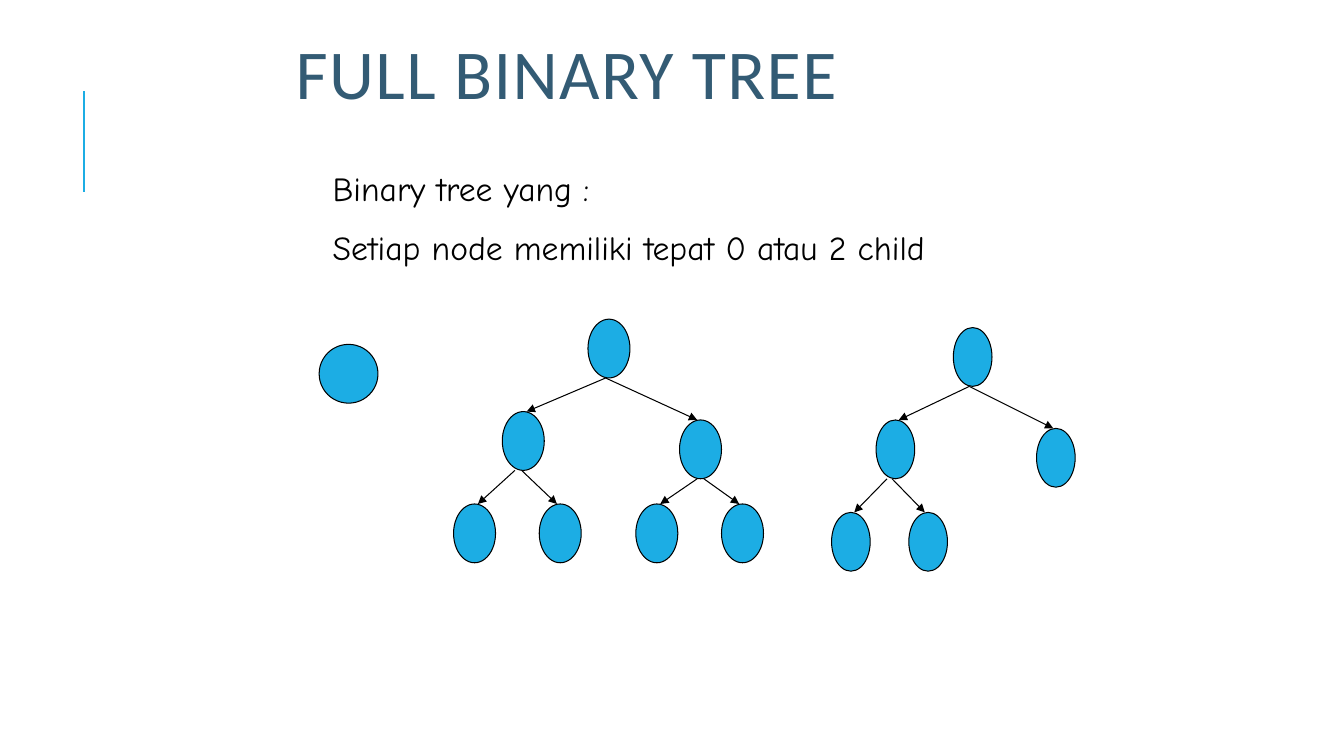
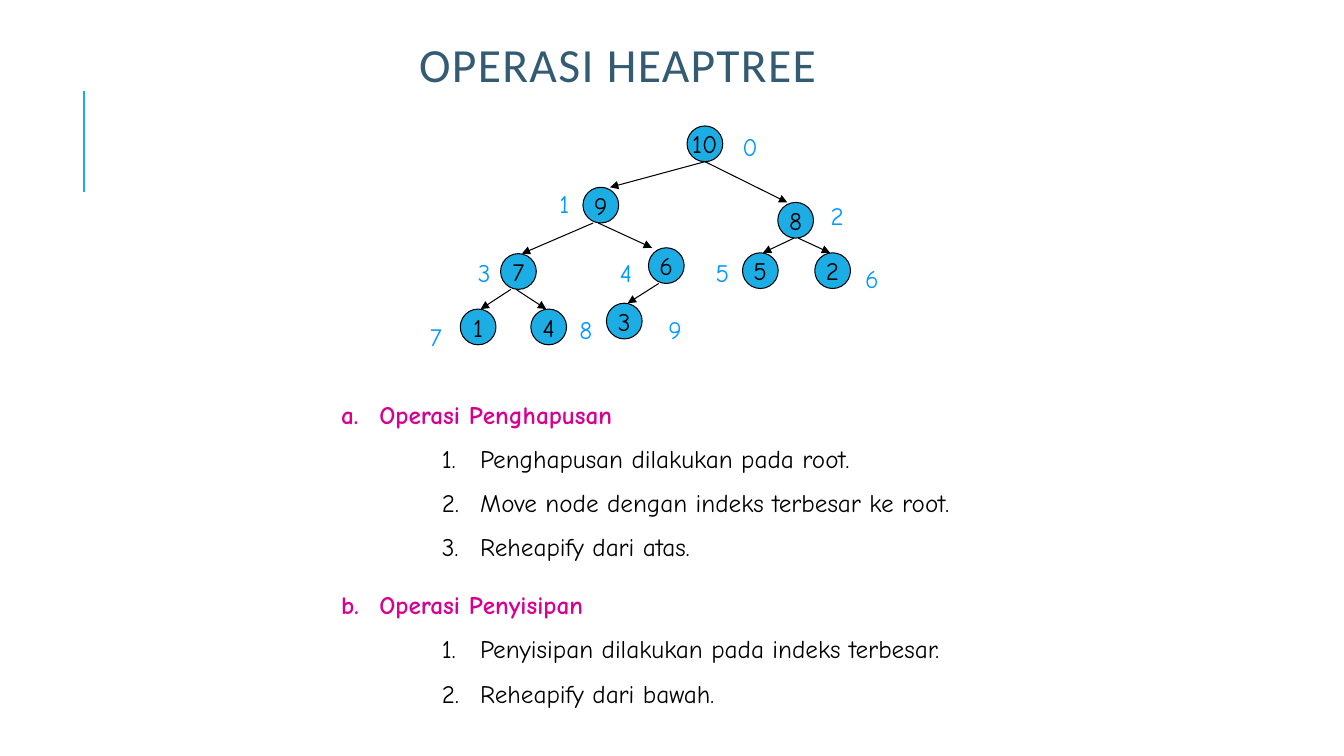
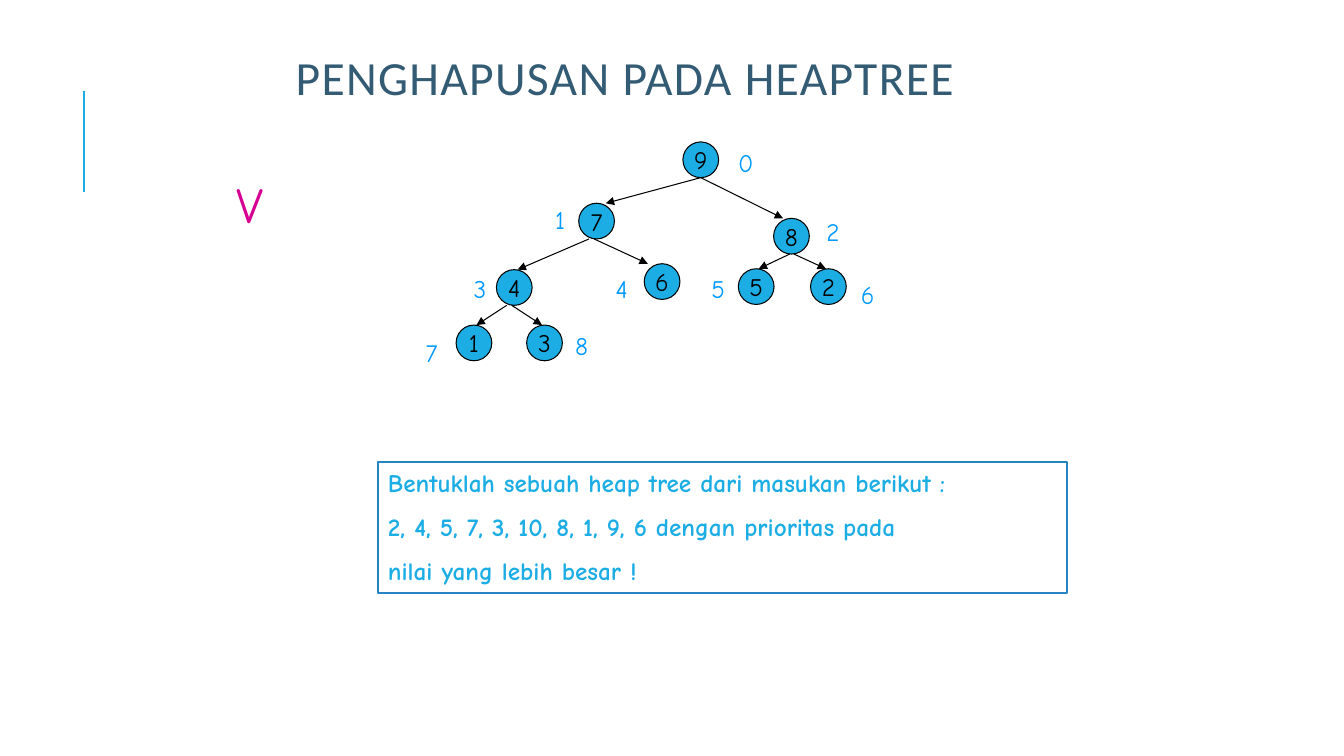
from lxml import etree
from pptx import Presentation
from pptx.dml.color import RGBColor
from pptx.enum.shapes import MSO_CONNECTOR, MSO_SHAPE
from pptx.enum.text import MSO_ANCHOR, MSO_AUTO_SIZE, PP_ALIGN
from pptx.oxml.ns import qn
from pptx.util import Inches, Pt

OVAL, RECTANGLE = MSO_SHAPE.OVAL, MSO_SHAPE.RECTANGLE
STRAIGHT = MSO_CONNECTOR.STRAIGHT
TOP, MIDDLE, BOTTOM = MSO_ANCHOR.TOP, MSO_ANCHOR.MIDDLE, MSO_ANCHOR.BOTTOM
LEFT, CENTER = PP_ALIGN.LEFT, PP_ALIGN.CENTER
NO_AUTOFIT = MSO_AUTO_SIZE.NONE

COLORS = {
    "accent": "1CADE4",
    "title": "335B74",
    "ink": "000000",
    "index": "0099FF",
    "heading": "D60093",
    "frame": "2683C6",
    "paper": "FFFFFF",
}
TITLE_FONT, BODY_FONT = "Calibri", "Comic Neue"
COLUMNS, ROWS = 160, 90
CELL = Inches(7.5) / ROWS
HANGING = 0.38
LIST_LAYOUT, TWO_LISTS_LAYOUT, TITLE_LAYOUT = 1, 3, 5

FULL_TREE = [
    (70, 38, 0, 0),
    (59.8, 49, -0.4, 0.4),
    (80.9, 50, -0.4, -0.4),
    (54, 60, -1, 0.4),
    (64.2, 60, -0.2, -0.4),
    (75.7, 60, -0.4, 0.4),
    (85.9, 60, 0.4, -0.4),
]
SMALL_TREE = [
    (113.5, 39, 0, 0),
    (104.3, 50, -0.4, 0.4),
    (123.4, 51, -0.4, -0.3),
    (99, 61, -1, 0.4),
    (108.2, 61, -0.4, -0.4),
]
HEAP_TREE = [
    (81.8, 15, 0, 0),
    (69.4, 22.3, 0, 1.1),
    (92.6, 24.1, 0, -1),
    (59.6, 30.2, -0.9, 0.4),
    (77.2, 29.5, -0.3, -1.7),
    (88.4, 30.1, -0.2, 0.3),
    (97, 30.1, 0.3, -0.3),
    (54.8, 36.8, -0.9, 0.3),
    (63.2, 36.8, -0.3, -0.3),
    (72.2, 36.1, -0.9, 0.4),
]
INDEX_PLACES = [
    (87.2, 15), (65.4, 21.8), (97.7, 23.3), (55.7, 30.1), (72.6, 30.1),
    (84, 30.1), (101.8, 30.8), (50, 37.7), (67.8, 36.8), (78.4, 36.8),
]


def grid(*cells):
    return [round(cell * CELL) for cell in cells]


def color(name):
    return RGBColor.from_string(COLORS[name])


class Deck:
    def __init__(self):
        self.presentation = Presentation()
        self.presentation.slide_width = round(COLUMNS * CELL)
        self.presentation.slide_height = round(ROWS * CELL)
        self.slide = None

    def add_slide(self, layout, title, box, size):
        first = self.slide is None
        self.slide = self.presentation.slides.add_slide(
            self.presentation.slide_layouts[layout])
        if first:
            rail = self.line((10, 22.8), (10, 10.8), "accent", 1.5)
            self.presentation.slide_master.shapes.element.append(rail.element)
        shape = self.slide.shapes.title
        self.place(shape, box)
        self.set_text(shape, [title], size, "title", font=TITLE_FONT, anchor=BOTTOM)
        paragraph = shape.text_frame.paragraphs[0]
        paragraph.line_spacing = 0.8
        paragraph.runs[0]._r.get_or_add_rPr().set("spc", "100")

    def place(self, shape, box):
        shape.left, shape.top, shape.width, shape.height = grid(*box)

    def set_text(self, shape, lines, size, ink="ink", bold=False,
                 font=BODY_FONT, anchor=TOP, align=LEFT, wrap=True):
        frame = shape.text_frame
        frame.text = "\n".join(lines)
        frame.auto_size = NO_AUTOFIT
        frame.word_wrap = wrap
        frame.vertical_anchor = anchor
        for number, paragraph in enumerate(frame.paragraphs):
            paragraph.alignment = align
            paragraph.space_before = Pt(0.55 * size if number else 0)
            for run in paragraph.runs:
                self.style(run.font, size, ink, bold, font)

    def style(self, run_font, size, ink, bold, font=BODY_FONT):
        run_font.name = font
        run_font.size = Pt(size)
        run_font.bold = bold
        run_font.color.rgb = color(ink)

    def body(self, number, box, lines, size):
        shape = self.slide.placeholders[number]
        self.place(shape, box)
        self.set_text(shape, lines, size)
        for paragraph in shape.text_frame.paragraphs:
            self.bullet(paragraph, HANGING)
        return shape.text_frame.paragraphs

    def bullet(self, paragraph, margin, numbering=None, start=1):
        properties = paragraph._p.get_or_add_pPr()
        for old in properties.findall(qn("a:buNone")):
            properties.remove(old)
        properties.set("marL", str(Inches(margin)))
        properties.set("indent", str(-Inches(HANGING)))
        if numbering is None:
            etree.SubElement(properties, qn("a:buNone"))
            return
        mark = etree.SubElement(properties, qn("a:buAutoNum"), type=numbering)
        if start > 1:
            mark.set("startAt", str(start))

    def operation(self, number, box, heading, steps):
        first, *others = self.body(number, box, [heading, *steps], 18)
        self.bullet(first, HANGING, "alphaLcPeriod", number)
        self.style(first.runs[0].font, 18, "heading", True)
        for paragraph in others:
            paragraph.level = 1
            self.bullet(paragraph, 1 + HANGING, "arabicPeriod")

    def text(self, box, line, size, ink):
        self.set_text(self.slide.shapes.add_textbox(*grid(*box)), [line], size, ink)

    def shape(self, kind, box, fill="accent", edge="ink", width=0.75):
        shape = self.slide.shapes.add_shape(kind, *grid(*box))
        shape.shadow.inherit = False
        shape.fill.solid()
        shape.fill.fore_color.rgb = color(fill)
        shape.line.color.rgb = color(edge)
        shape.line.width = Pt(width)
        return shape

    def line(self, start, end, ink="ink", width=0.75):
        line = self.slide.shapes.add_connector(STRAIGHT, *grid(*start, *end))
        line.line.color.rgb = color(ink)
        line.line.width = Pt(width)
        etree.SubElement(line.element.spPr, qn("a:effectLst"))
        return line

    def arrow(self, start, end):
        outline = self.line(start, end).element.spPr.find(qn("a:ln"))
        etree.SubElement(outline, qn("a:tailEnd"), type="triangle")

    def tree(self, nodes, width, height, values=(), origin=(0, 0)):
        across, down = origin
        for number, (column, row, departure, arrival) in enumerate(nodes):
            left, top = column + across, row + down
            node = self.shape(OVAL, (left, top, width, height))
            if values:
                self.set_text(node, [str(values[number])], 18,
                              anchor=MIDDLE, align=CENTER, wrap=False)
            if number:
                parent_column, parent_row = nodes[(number - 1) // 2][:2]
                foot = (parent_column + across + width / 2 + departure,
                        parent_row + down + height)
                self.arrow(foot, (left + width / 2 + arrival, top))

    def heap(self, values, origin=(0, 0)):
        self.tree(HEAP_TREE[:len(values)], 4.25, 4.25, values, origin)
        for number, (column, row) in enumerate(INDEX_PLACES[:len(values)]):
            self.text((column + origin[0], row + origin[1], 3.2, 4.8),
                      str(number), 18, "index")


def main():
    deck = Deck()

    deck.add_slide(LIST_LAYOUT, "FULL BINARY TREE", (34, 4.3, 102, 9.7), 50)
    deck.body(1, (38.4, 19.4, 86, 13.3),
              ["Binary tree yang :", "Setiap node memiliki tepat 0 atau 2 child"], 24)
    deck.shape(OVAL, (38, 41, 7, 7))
    deck.tree(FULL_TREE, 5, 7)
    deck.tree(SMALL_TREE, 4.6, 7)

    deck.add_slide(TWO_LISTS_LAYOUT, "OPERASI HEAPTREE", (48.7, 4.3, 87.4, 7.2), 34)
    deck.heap([10, 9, 8, 7, 6, 5, 2, 1, 4, 3])
    deck.operation(1, (39.4, 46.9, 91, 21.1), "Operasi Penghapusan", [
        "Penghapusan dilakukan pada root.",
        "Move node dengan indeks terbesar ke root.",
        "Reheapify dari atas.",
    ])
    deck.operation(2, (39.4, 69.6, 91, 15.6), "Operasi Penyisipan", [
        "Penyisipan dilakukan pada indeks terbesar.",
        "Reheapify dari bawah.",
    ])

    deck.add_slide(TITLE_LAYOUT, "PENGHAPUSAN PADA HEAPTREE", (34, 3, 88, 10), 34)
    deck.heap([9, 7, 8, 4, 6, 5, 2, 1, 3], origin=(-0.5, 1.9))
    deck.text((27, 20, 18, 8.4), "V", 36, "heading")
    task = deck.shape(RECTANGLE, (45, 55, 82, 15.6), "paper", "frame", 1.25)
    deck.set_text(task, [
        "Bentuklah sebuah heap tree dari masukan berikut :",
        "2, 4, 5, 7, 3, 10, 8, 1, 9, 6 dengan prioritas pada",
        "nilai yang lebih besar !",
    ], 18, "accent", bold=True)

    deck.presentation.save("out.pptx")


if __name__ == "__main__":
    main()
